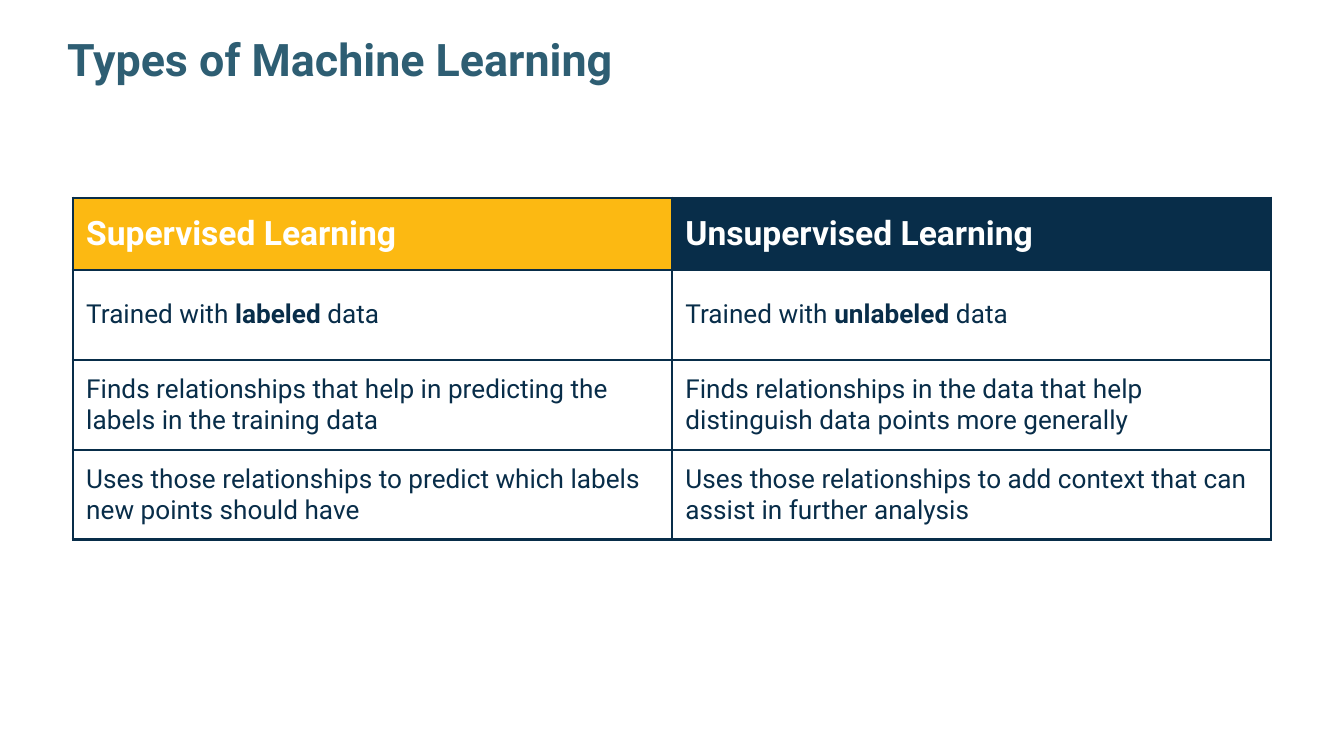
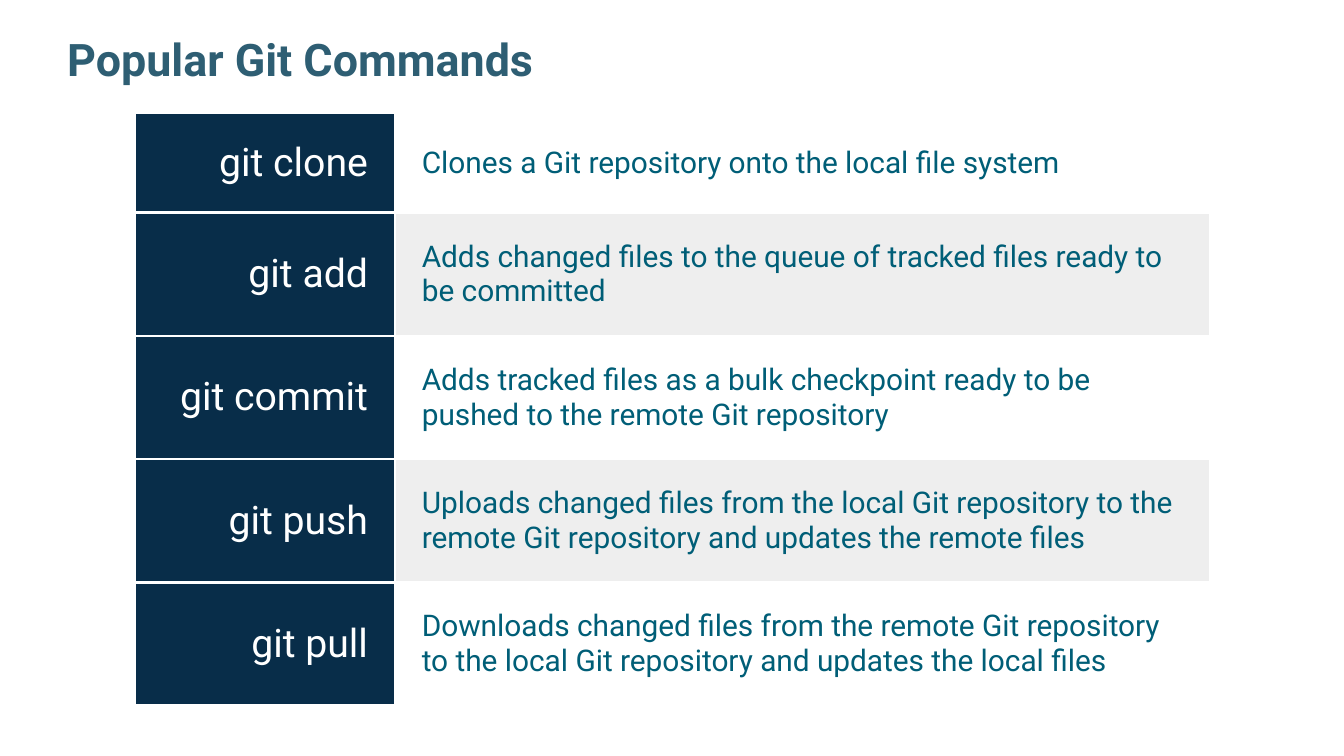
from lxml import etree
from pptx import Presentation
from pptx.dml.color import RGBColor
from pptx.enum import text as t
from pptx.oxml.ns import qn
from pptx.util import Pt

FONT = "Roboto"
NAVY, GOLD, TEAL, SLATE = "082D49", "FCB912", "005E77", "2E5E73"
WHITE, GRAY = "FFFFFF", "EEEEEE"
LEFT, RIGHT = t.PP_ALIGN.LEFT, t.PP_ALIGN.RIGHT

KINDS = [
    ("Supervised Learning", "Unsupervised Learning"),
    (["Trained with ", "labeled", " data"],
     ["Trained with ", "unlabeled", " data"]),
    (["Finds relationships that help in predicting the labels in the training data"],
     ["Finds relationships in the data that help distinguish data points more generally"]),
    (["Uses those relationships to predict which labels new points should have"],
     ["Uses those relationships to add context that can assist in further analysis"]),
]
GIT = [
    ("git clone", "Clones a Git repository onto the local file system"),
    ("git add", "Adds changed files to the queue of tracked files ready to be committed"),
    ("git commit", "Adds tracked files as a bulk checkpoint ready to be pushed "
                   "to the remote Git repository"),
    ("git push", "Uploads changed files from the local Git repository "
                 "to the remote Git repository and updates the remote files"),
    ("git pull", "Downloads changed files from the remote Git repository "
                 "to the local Git repository and updates the local files"),
]


def color(code):
    return RGBColor.from_string(code)


def add_run(para, words, size, tint, bold=False):
    run = para.add_run()
    run.text = words
    font = run.font
    font.name, font.size, font.bold = FONT, Pt(size), bold
    font.color.rgb = color(tint)


def set_pad(item, pad):
    item.margin_left = item.margin_right = Pt(pad)
    item.margin_top = item.margin_bottom = Pt(pad)


def add_edge(cell, tint):
    props = cell._tc.get_or_add_tcPr()
    for i, side in enumerate("LRTB"):
        line = etree.Element(qn(f"a:ln{side}"), w=str(Pt(1.5)))
        fill = etree.SubElement(line, qn("a:solidFill"))
        etree.SubElement(fill, qn("a:srgbClr"), val=tint)
        props.insert(i, line)


def fill_cell(cell, parts, size, tint, back, edge, pad, align=LEFT, bold=False):
    set_pad(cell, pad)
    cell.vertical_anchor = t.MSO_ANCHOR.MIDDLE
    if back:
        cell.fill.solid()
        cell.fill.fore_color.rgb = color(back)
    else:
        cell.fill.background()
    add_edge(cell, edge)
    para = cell.text_frame.paragraphs[0]
    para.alignment = align
    for i, words in enumerate(parts):
        add_run(para, words, size, tint, bold or i % 2 == 1)


def add_grid(slide, left, top, cols, rows):
    frame = slide.shapes.add_table(len(rows), len(cols), Pt(left), Pt(top),
                                   Pt(sum(cols)), Pt(sum(rows)))
    grid = frame.table
    grid.first_row = grid.horz_banding = False
    for col, wide in zip(grid.columns, cols):
        col.width = Pt(wide)
    for row, high in zip(grid.rows, rows):
        row.height = Pt(high)
    return grid


def add_slide(deck, words):
    slide = deck.slides.add_slide(deck.slide_layouts[5])
    title = slide.shapes.title
    title.left, title.top = Pt(28.8), Pt(10)
    title.width, title.height = Pt(398), Pt(39.6)
    frame = title.text_frame
    frame.word_wrap = True
    frame.auto_size = t.MSO_AUTO_SIZE.NONE
    frame.vertical_anchor = t.MSO_ANCHOR.TOP
    set_pad(frame, 7.2)
    para = frame.paragraphs[0]
    para.alignment = LEFT
    add_run(para, words, 24, SLATE, True)
    return slide


def add_kinds(slide, left, top, width):
    grid = add_grid(slide, left, top, [width / 2] * 2, [38.6] + [48.2] * 3)
    for c, back in enumerate((GOLD, NAVY)):
        fill_cell(grid.cell(0, c), [KINDS[0][c]], 18, WHITE, back, NAVY, 7.2, bold=True)
        for r, row in enumerate(KINDS[1:], 1):
            fill_cell(grid.cell(r, c), row[c], 14, NAVY, None, NAVY, 7.2)


def add_git(slide, left, top, width):
    name = 139.6
    grid = add_grid(slide, left, top, [name, width - name], [50] + [62] * 4)
    for r, (cmd, note) in enumerate(GIT):
        fill_cell(grid.cell(r, 0), [cmd], 21, WHITE, NAVY, WHITE, 14.4, RIGHT)
        fill_cell(grid.cell(r, 1), [note], 16, TEAL, GRAY if r % 2 else None, WHITE, 14.4)


def main():
    deck = Presentation()
    deck.slide_width, deck.slide_height = Pt(720), Pt(405)
    add_kinds(add_slide(deck, "Types of Machine Learning"), 39, 106, 642)
    add_git(add_slide(deck, "Popular Git Commands"), 72, 60.5, 576.6)
    deck.save("out.pptx")


if __name__ == "__main__":
    main()
